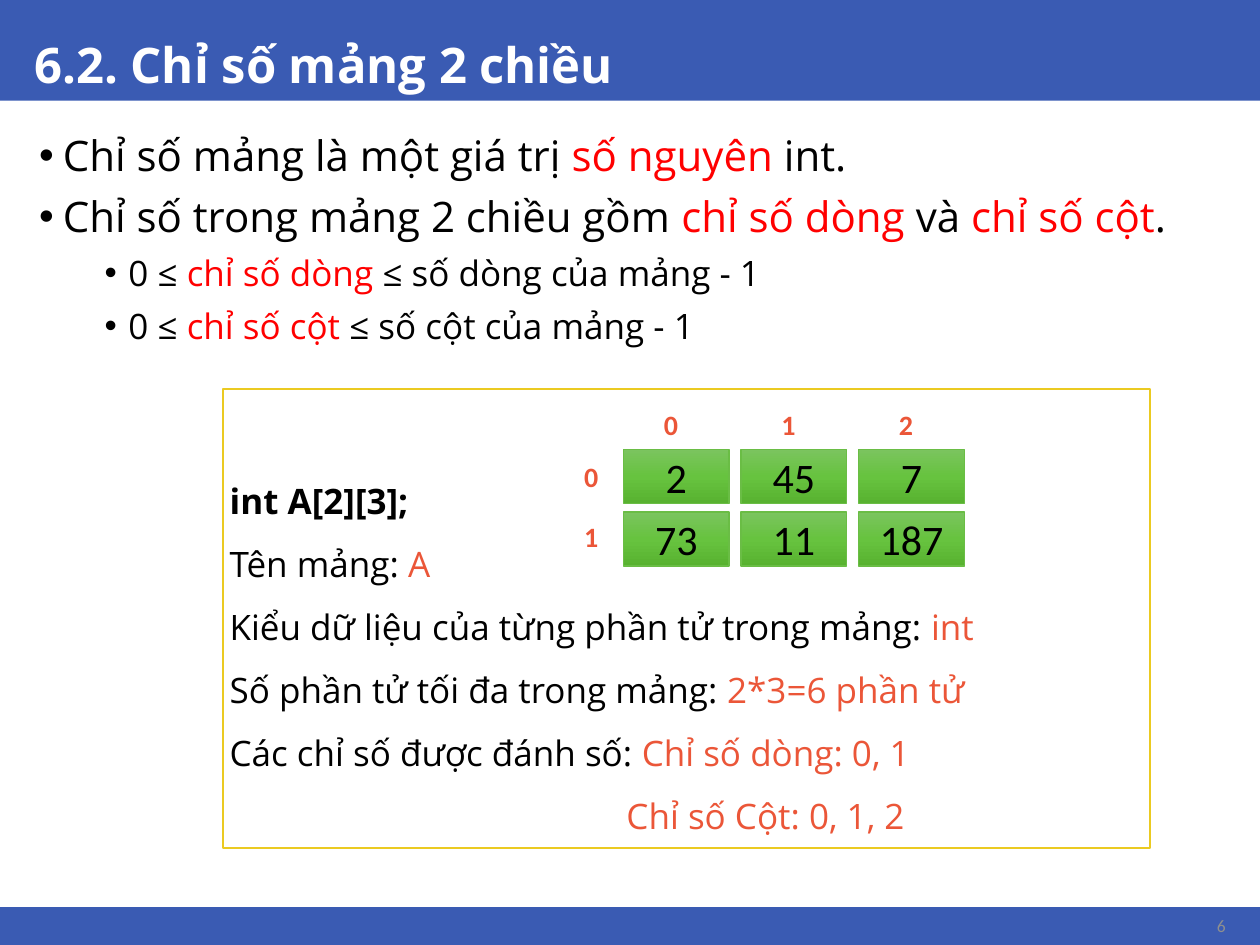
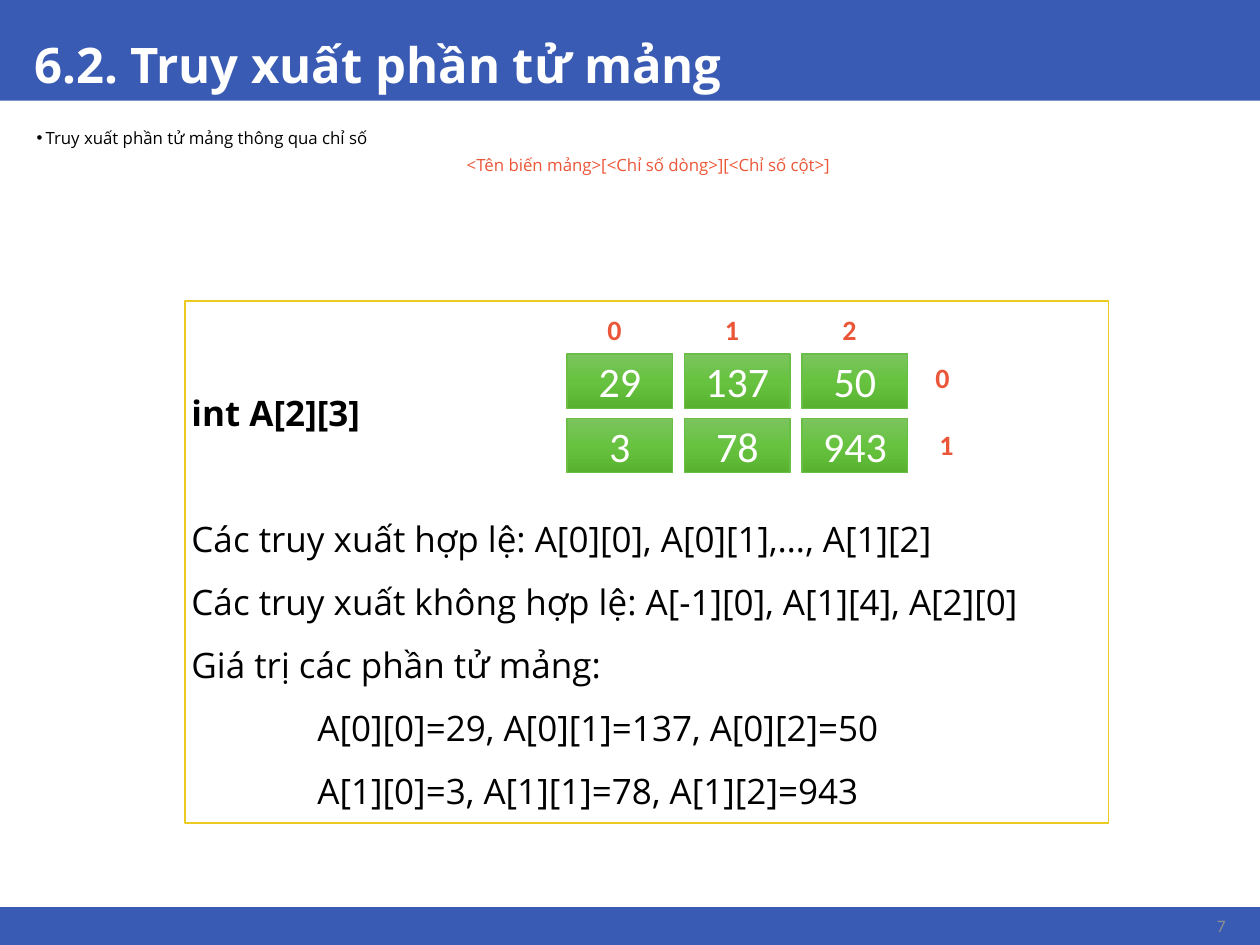
from copy import deepcopy
from dataclasses import dataclass

from pptx import Presentation
from pptx.dml.color import RGBColor
from pptx.enum.shapes import MSO_SHAPE
from pptx.enum.text import MSO_ANCHOR, PP_ALIGN
from pptx.oxml import parse_xml
from pptx.oxml.ns import nsdecls, qn
from pptx.shapes.autoshape import Shape
from pptx.slide import Slide, SlideLayout
from pptx.text.text import TextFrame
from pptx.util import Cm, Pt

BLUE = RGBColor(0x3A, 0x5B, 0xB3)
WHITE = RGBColor(0xFF, 0xFF, 0xFF)
BLACK = RGBColor(0, 0, 0)
RED = RGBColor(0xFF, 0, 0)
CORAL = RGBColor(0xEB, 0x56, 0x38)
GOLD = RGBColor(0xEB, 0xCA, 0x21)
GREY = RGBColor(0x8E, 0x8F, 0x8F)
GREEN = RGBColor(0x6A, 0xBD, 0x45)
SHADES = (
    (0, RGBColor(0x7B, 0xC4, 0x5F)),
    (0.5, RGBColor(0x67, 0xC3, 0x3F)),
    (1, RGBColor(0x58, 0xB2, 0x30)),
)

SANS = "Open Sans"
PLAIN = "Calibri"
WIDE, HIGH = 25.4, 19.05
INSET = 0.13
CELL_W, CELL_H, STEP_X = 2.13, 1.09, 2.37
LABEL_W, LABEL_H = 1.04, 0.91


@dataclass(frozen=True)
class Box:
    left: float
    top: float
    width: float
    height: float

    def place(self) -> tuple[int, int, int, int]:
        return Cm(self.left), Cm(self.top), Cm(self.width), Cm(self.height)


@dataclass(frozen=True)
class Para:
    text: str
    size: float = 20
    bold: bool = False
    align: PP_ALIGN = PP_ALIGN.LEFT
    margin: float = 0
    hang: float = 0
    before: float = 0
    level: int = 0


@dataclass(frozen=True)
class Grid:
    left: float
    top: float
    step: float
    ink: RGBColor
    rows: tuple[tuple[int, ...], ...]
    labels: tuple[tuple[float, float], ...]


TITLE = Box(0.56, 0, 24.3, 2.03)
BANDS = (Box(0, 0, WIDE, 2.03), Box(0, 18.29, WIDE, 0.76))
NUMBER = Box(24.38, 18.31, 0.46, 0.71)


def write(frame: TextFrame, *paras: Para, font: str = SANS,
          ink: RGBColor = BLACK, accent: RGBColor = CORAL, space: float = 1,
          anchor: MSO_ANCHOR = MSO_ANCHOR.TOP, top: float = INSET,
          wrap: bool = True) -> None:
    frame.word_wrap = wrap
    frame.vertical_anchor = anchor
    frame.margin_left = frame.margin_right = frame.margin_bottom = Cm(INSET)
    frame.margin_top = Cm(top)
    for place, para in enumerate(paras):
        line = frame.add_paragraph() if place else frame.paragraphs[0]
        line.alignment = para.align
        line.level = para.level
        props = line._p.get_or_add_pPr()
        props.set("marL", str(Cm(para.margin)))
        props.set("indent", str(-Cm(para.hang)))
        if para.hang:
            props.append(parse_xml(f'<a:buFont {nsdecls("a")} typeface="Arial"/>'))
            props.append(parse_xml(f'<a:buChar {nsdecls("a")} char="•"/>'))
        line.line_spacing = space
        line.space_before = Pt(para.before)
        for turn, part in enumerate(para.text.split("|")):
            if not part:
                continue
            run = line.add_run()
            run.text = part
            run.font.name = font
            run.font.size = Pt(para.size)
            run.font.bold = para.bold
            run.font.color.rgb = accent if turn % 2 else ink


def add_rect(slide: Slide, box: Box, fill: RGBColor | None = None,
             line: RGBColor | None = None, weight: float = 1) -> Shape:
    rect = slide.shapes.add_shape(MSO_SHAPE.RECTANGLE, *box.place())
    rect.shadow.inherit = False
    if fill is not None:
        rect.fill.solid()
        rect.fill.fore_color.rgb = fill
    if line is None:
        rect.line.fill.background()
    else:
        rect.line.color.rgb = line
        rect.line.width = Pt(weight)
    return rect


def add_text(slide: Slide, box: Box, *paras: Para, **style) -> None:
    write(slide.shapes.add_textbox(*box.place()).text_frame, *paras, **style)


def add_cell(slide: Slide, box: Box, value: int, ink: RGBColor) -> None:
    cell = add_rect(slide, box, line=GREEN, weight=0.75)
    cell.fill.gradient()
    stops = cell.element.spPr.find(".//" + qn("a:gsLst"))
    stops.append(deepcopy(stops[0]))
    for stop, (place, shade) in zip(cell.fill.gradient_stops, SHADES):
        stop.position = place
        stop.color.rgb = shade
    cell.fill.gradient_angle = 270
    write(cell.text_frame, Para(str(value), 24, align=PP_ALIGN.CENTER),
          font=PLAIN, ink=ink, anchor=MSO_ANCHOR.MIDDLE)


def add_label(slide: Slide, box: Box, index: int) -> None:
    add_text(slide, box, Para(str(index), 16, True, PP_ALIGN.CENTER),
             font=PLAIN, ink=CORAL, anchor=MSO_ANCHOR.MIDDLE)


def add_grid(slide: Slide, grid: Grid) -> None:
    for col in range(len(grid.rows[0])):
        left = grid.left + col * STEP_X - 0.11
        add_label(slide, Box(left, grid.top - 0.96, CELL_W, LABEL_H), col)
    for row, values in enumerate(grid.rows):
        for col, value in enumerate(values):
            box = Box(grid.left + col * STEP_X, grid.top + row * grid.step,
                      CELL_W, CELL_H)
            add_cell(slide, box, value, grid.ink)
        add_label(slide, Box(*grid.labels[row], LABEL_W, LABEL_H), row)


def add_panel(slide: Slide, box: Box, *paras: Para) -> None:
    panel = add_rect(slide, box, WHITE, GOLD)
    write(panel.text_frame, *paras, space=1.5, top=1.4)


def add_bands(slide: Slide, layout: SlideLayout) -> None:
    for index, box in enumerate(BANDS):
        band = add_rect(slide, box, BLUE).element
        band.nvSpPr.cNvPr.set("id", str(100 + index))
        layout.shapes.element.insert(2 + index, band)


def start_slide(deck: Presentation, title: str, number: int) -> Slide:
    slide = deck.slides.add_slide(deck.slide_layouts[5])
    head = slide.shapes.title
    head.left, head.top, head.width, head.height = TITLE.place()
    write(head.text_frame, Para(title, 28, True), ink=WHITE, space=0.9,
          anchor=MSO_ANCHOR.BOTTOM)
    add_text(slide, NUMBER, Para(str(number), 10, align=PP_ALIGN.RIGHT),
             font=PLAIN, ink=GREY, anchor=MSO_ANCHOR.MIDDLE, wrap=False)
    return slide


def point(text: str, before: float = 6) -> Para:
    return Para(text, 24, align=PP_ALIGN.JUSTIFY, margin=0.58, hang=0.48,
                before=before)


def detail(text: str) -> Para:
    return Para(text, align=PP_ALIGN.JUSTIFY, margin=1.9, hang=0.48,
                before=6, level=2)


def index_slide(deck: Presentation) -> None:
    slide = start_slide(deck, "6.2. Chỉ số mảng 2 chiều", 6)
    add_bands(slide, deck.slide_layouts[5])
    add_text(
        slide, Box(0.56, 2.49, 24.3, 4.98),
        point("Chỉ số mảng là một giá trị |số nguyên |int.", 0),
        point("Chỉ số trong mảng 2 chiều gồm |chỉ số dòng |và |chỉ số cột|."),
        detail("0 ≤ |chỉ số dòng |≤ số dòng của mảng - 1"),
        detail("0 ≤ |chỉ số cột |≤ số cột của mảng - 1"),
        accent=RED,
    )
    add_panel(
        slide, Box(4.5, 7.85, 18.69, 9.25),
        Para("int A[2][3];", bold=True),
        Para("Tên mảng: |A"),
        Para("Kiểu dữ liệu của từng phần tử trong mảng: |int"),
        Para("Số phần tử tối đa trong mảng: |2*3=6 phần tử"),
        Para("Các chỉ số được đánh số: |Chỉ số dòng: 0, 1"),
        Para("|Chỉ số Cột: 0, 1, 2", margin=8),
    )
    add_grid(slide, Grid(12.57, 9.06, 1.26, BLACK, ((2, 45, 7), (73, 11, 187)),
                         ((11.4, 9.14), (11.4, 10.36))))


def access_slide(deck: Presentation) -> None:
    slide = start_slide(deck, "6.2. Truy xuất phần tử mảng", 7)
    add_text(
        slide, Box(0.56, 2.49, 24.84, 3.25),
        Para("Truy xuất phần tử mảng thông qua chỉ số", 9.6,
             margin=0.23, hang=0.18),
        Para("|<Tên biến mảng>[<Chỉ số dòng>][<Chỉ số cột>]", 9.6,
             align=PP_ALIGN.CENTER, margin=0.18, before=5),
        space=0.9,
    )
    add_panel(
        slide, Box(3.73, 6.07, 18.62, 10.52),
        Para("int A[2][3]", bold=True),
        Para("Các truy xuất hợp lệ: A[0][0], A[0][1],…, A[1][2]", before=36),
        Para("Các truy xuất không hợp lệ: A[-1][0], A[1][4], A[2][0]"),
        Para("Giá trị các phần tử mảng:"),
        Para("A[0][0]=29, A[0][1]=137, A[0][2]=50", margin=2.54),
        Para("A[1][0]=3, A[1][1]=78, A[1][2]=943", margin=2.54),
    )
    add_grid(slide, Grid(11.43, 7.14, 1.3, WHITE, ((29, 137, 50), (3, 78, 943)),
                         ((18.48, 7.16), (18.56, 8.51))))


def main() -> None:
    deck = Presentation()
    deck.slide_width, deck.slide_height = Cm(WIDE), Cm(HIGH)
    index_slide(deck)
    access_slide(deck)
    deck.save("out.pptx")


if __name__ == "__main__":
    main()
